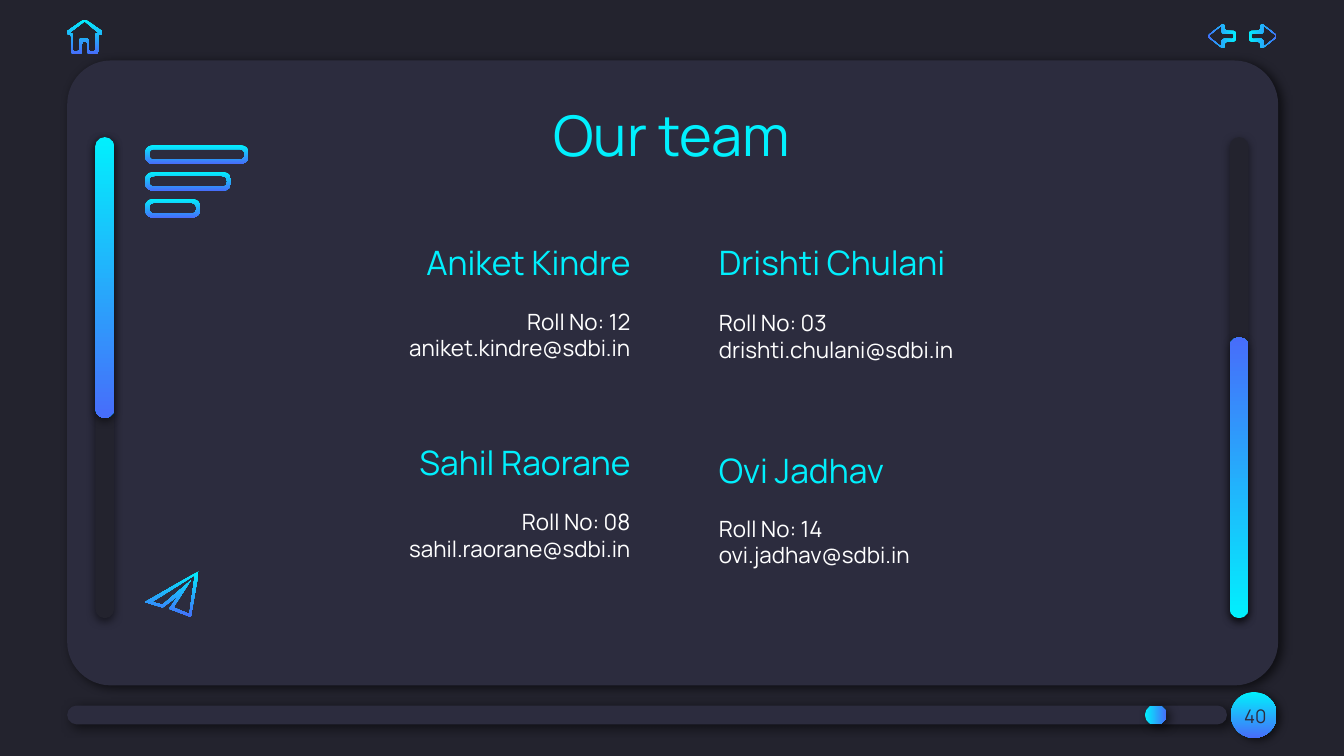
from dataclasses import dataclass

from lxml.etree import SubElement
from pptx import Presentation
from pptx.dml.color import RGBColor
from pptx.enum.shapes import MSO_SHAPE
from pptx.enum.text import MSO_ANCHOR, PP_ALIGN
from pptx.oxml.ns import qn
from pptx.util import Inches, Pt


@dataclass(frozen=True)
class Theme:
    background: str = "23232E"
    panel: str = "2C2C3E"
    cyan: str = "01F0FD"
    blue: str = "476DFA"
    white: str = "FFFFFF"
    font: str = "Manrope"
    title: int = 30
    name: int = 18
    body: int = 12
    page: int = 10


THEME = Theme()
# Opacity %, blur pt, distance pt, direction in degrees
SOFT = (60, 5.6, 2.2, 33)
BADGE = (60, 4.5, 2.2, 33)
BELOW = (50, 4.5, 1.5, 90)
# Gradient angles, counter-clockwise
DOWN, UP, RIGHT, LEFT = 270, 90, 0, 180

HOUSE = (
    [(0.63, 0.14), (0.77, 0.24), (0.75, 0.26), (0.73, 0.26), (0.73, 0.4),
     (0.65, 0.4), (0.65, 0.31), (0.61, 0.31), (0.61, 0.4), (0.53, 0.4),
     (0.53, 0.26), (0.51, 0.26), (0.49, 0.24)],
    [(0.63, 0.16), (0.74, 0.25), (0.71, 0.25), (0.71, 0.38), (0.66, 0.38),
     (0.66, 0.29), (0.59, 0.29), (0.59, 0.38), (0.54, 0.38), (0.54, 0.25),
     (0.51, 0.25)],
)
ARROW = (
    [(9.29, 0.23), (9.38, 0.23), (9.38, 0.17), (9.51, 0.27), (9.38, 0.37),
     (9.38, 0.31), (9.29, 0.31)],
    [(9.31, 0.25), (9.4, 0.25), (9.4, 0.19), (9.5, 0.27), (9.4, 0.35),
     (9.4, 0.29), (9.31, 0.29)],
)
PLANE = (
    [(1.48, 4.25), (1.08, 4.48), (1.21, 4.52), (1.33, 4.43), (1.26, 4.53),
     (1.42, 4.59)],
    [(1.45, 4.28), (1.41, 4.57), (1.29, 4.52), (1.42, 4.32), (1.21, 4.5),
     (1.13, 4.48)],
)
ARROW_MIRROR = 18.49  # sum of the x positions of the two arrows

# Name, roll number, e-mail, left, top of name, top of details, alignment
TEAM = [
    ("Aniket Kindre", "12", "aniket.kindre@sdbi.in", 1.31, 1.69, 2.19, PP_ALIGN.RIGHT),
    ("Drishti Chulani", "03", "drishti.chulani@sdbi.in", 5.25, 1.69, 2.2, PP_ALIGN.LEFT),
    ("Sahil Raorane", "08", "sahil.raorane@sdbi.in", 1.31, 3.18, 3.68, PP_ALIGN.RIGHT),
    ("Ovi Jadhav", "14", "ovi.jadhav@sdbi.in", 5.25, 3.24, 3.73, PP_ALIGN.LEFT),
]


def rgb(color):
    return RGBColor.from_string(color)


def paint(sp, color=None, angle=DOWN):
    """Fill with one colour, or with the accent gradient when none is given."""
    sp.shadow.inherit = False
    sp.line.fill.background()
    if color:
        sp.fill.solid()
        sp.fill.fore_color.rgb = rgb(color)
    else:
        sp.fill.gradient()
        sp.fill.gradient_angle = angle
        for stop, shade in zip(sp.fill.gradient_stops, (THEME.cyan, THEME.blue)):
            stop.color.rgb = rgb(shade)


def add_shadow(sp, opacity, blur, distance, direction):
    effects = sp._element.spPr.find(qn("a:effectLst"))
    shadow = SubElement(effects, qn("a:outerShdw"), blurRad=str(Pt(blur)),
                        dist=str(Pt(distance)), dir=str(direction * 60000),
                        algn="bl", rotWithShape="0")
    color = SubElement(shadow, qn("a:srgbClr"), val="000000")
    SubElement(color, qn("a:alpha"), val=str(opacity * 1000))


def add_block(s, box, shadow, color=None, angle=DOWN, rounding=0.5,
              kind=MSO_SHAPE.ROUNDED_RECTANGLE):
    sp = s.shapes.add_shape(kind, *map(Inches, box))
    if kind == MSO_SHAPE.ROUNDED_RECTANGLE:
        sp.adjustments[0] = rounding
    paint(sp, color, angle)
    add_shadow(sp, *shadow)


def add_text(s, box, lines, size, color, align, anchor=MSO_ANCHOR.TOP):
    tf = s.shapes.add_textbox(*map(Inches, box)).text_frame
    tf.word_wrap = True
    tf.vertical_anchor = anchor
    tf.margin_left = tf.margin_right = tf.margin_top = tf.margin_bottom = Inches(0.1)
    tf.text = "\n".join(lines)
    for p in tf.paragraphs:
        p.alignment = align
        for r in p.runs:
            r.font.name = THEME.font
            r.font.size = Pt(size)
            r.font.color.rgb = rgb(color)


def round_corners(points, radius, steps=6):
    """Replace each corner of a polygon with a short quadratic curve."""
    if not radius:
        return points
    result = []
    for i, (x, y) in enumerate(points):
        ends = []
        for nx, ny in (points[i - 1], points[(i + 1) % len(points)]):
            length = ((nx - x) ** 2 + (ny - y) ** 2) ** 0.5
            share = min(radius / length, 0.5)
            ends.append((x + (nx - x) * share, y + (ny - y) * share))
        (ax, ay), (bx, by) = ends
        for t in (k / steps for k in range(steps + 1)):
            u = 1 - t
            result.append((u * u * ax + 2 * u * t * x + t * t * bx,
                           u * u * ay + 2 * u * t * y + t * t * by))
    return result


def add_outline(s, contours, radii=(0, 0), angle=DOWN):
    """Draw an outer contour with an inner one cut out of it."""
    outer, inner = [
        [(Inches(x), Inches(y)) for x, y in round_corners(points, radius)]
        for points, radius in zip(contours, radii)
    ]
    builder = s.shapes.build_freeform(*outer[0])
    builder.add_line_segments(outer[1:], close=True)
    builder.move_to(*inner[0])
    builder.add_line_segments(inner[1:], close=True)
    paint(builder.convert_to_shape(), angle=angle)


def rectangle(left, top, width, height):
    right, bottom = left + width, top + height
    return [(left, top), (right, top), (right, bottom), (left, bottom)]


def add_frame(s):
    add_block(s, (0.5, 0.45, 9.01, 4.65), SOFT, THEME.panel, rounding=0.07)
    add_block(s, (0.5, 5.25, 8.63, 0.14), SOFT, THEME.panel)
    add_block(s, (8.52, 5.25, 0.16, 0.14), SOFT, angle=RIGHT)
    add_block(s, (9.16, 5.15, 0.34, 0.34), BADGE, kind=MSO_SHAPE.OVAL)
    add_text(s, (9.04, 5.11, 0.6, 0.43), ["40"], THEME.page, THEME.panel,
             PP_ALIGN.CENTER, MSO_ANCHOR.MIDDLE)
    for left, thumb_top, angle in ((9.15, 2.51, UP), (0.71, 1.02, DOWN)):
        add_block(s, (left, 1.02, 0.14, 3.58), BELOW, THEME.background)
        add_block(s, (left, thumb_top, 0.14, 2.09), BELOW, angle=angle)


def add_icons(s):
    add_outline(s, HOUSE, (0.02, 0.01))
    add_outline(s, ARROW, (0.03, 0.02), RIGHT)
    mirrored = [[(ARROW_MIRROR - x, y) for x, y in points] for points in ARROW]
    add_outline(s, mirrored, (0.03, 0.02), LEFT)
    add_outline(s, PLANE)
    edge = 0.03
    for i, width in enumerate((0.77, 0.64, 0.41)):
        top = 1.08 + 0.2 * i
        add_outline(s, (rectangle(1.08, top, width, 0.14),
                        rectangle(1.08 + edge, top + edge, width - 2 * edge,
                                  0.14 - 2 * edge)), (0.07, 0.04))


def add_member(s, name, roll, email, left, name_top, details_top, align):
    add_text(s, (left, name_top, 3.48, 0.51), [name], THEME.name, THEME.cyan,
             align, MSO_ANCHOR.BOTTOM)
    add_text(s, (left, details_top, 3.48, 0.63), [f"Roll No: {roll}", email],
             THEME.body, THEME.white, align)


def main():
    prs = Presentation()
    prs.slide_width = Inches(10)
    prs.slide_height = prs.slide_width * 9 // 16
    s = prs.slides.add_slide(prs.slide_layouts[6])
    s.background.fill.solid()
    s.background.fill.fore_color.rgb = rgb(THEME.background)
    add_frame(s)
    add_icons(s)
    add_text(s, (0.87, 0.65, 8.26, 0.63), ["Our team"], THEME.title, THEME.cyan,
             PP_ALIGN.CENTER)
    for member in TEAM:
        add_member(s, *member)
    prs.save("out.pptx")


if __name__ == "__main__":
    main()
